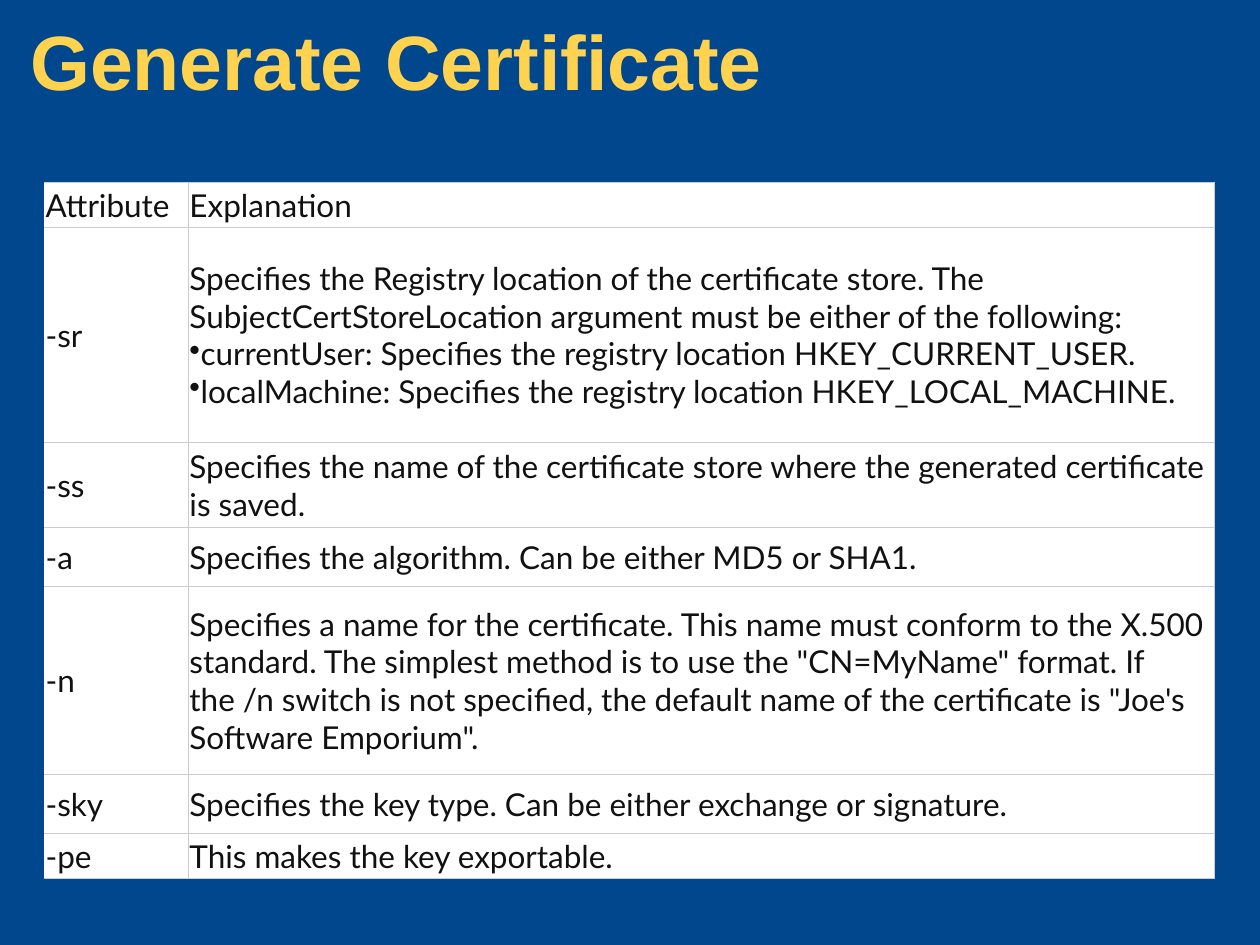
import pptx
import pptx.dml.color
import pptx.enum.text
import pptx.util
from lxml import etree
from pptx.oxml.ns import qn
from pptx.util import Cm

ROWS = [
    (0.91, "Attribute", ["Explanation"]),
    (4.32, "-sr", [
        "Specifies the Registry location of the certificate store. "
        "The SubjectCertStoreLocation argument must be either of the following:",
        "•currentUser: Specifies the registry location HKEY_CURRENT_USER.",
        "•localMachine: Specifies the registry location HKEY_LOCAL_MACHINE.",
    ]),
    (1.73, "-ss", ["Specifies the name of the certificate store where the "
                   "generated certificate is saved."]),
    (1.19, "-a", ["Specifies the algorithm. Can be either MD5 or SHA1."]),
    (3.78, "-n", [
        "Specifies a name for the certificate. This name must conform to the "
        "X.500 standard. The simplest method is to use the \"CN=MyName\" format. "
        "If the /n switch is not specified, the default name of the certificate "
        "is \"Joe's Software Emporium\"."]),
    (1.19, "-sky", ["Specifies the key type. Can be either exchange or signature."]),
    (0.91, "-pe", ["This makes the key exportable."]),
]


def rgb(value):
    return pptx.dml.color.RGBColor.from_string(value)


class Deck:
    background, title_color = "00478E", "FFD34F"
    text_color, cell_color, border_color = "111111", "FFFFFF", "CCCCCC"
    title_font, body_font = "Arial", "Lato"
    border_width = pptx.util.Pt(0.6)

    def __init__(self):
        self.prs = pptx.Presentation()
        self.prs.slide_width, self.prs.slide_height = Cm(25.4), Cm(19.05)

    def slide(self):
        self.s = self.prs.slides.add_slide(self.prs.slide_layouts[6])
        fill = self.s.background.fill
        fill.solid()
        fill.fore_color.rgb = rgb(self.background)

    def run(self, p, text, size, font, color, bold=False):
        r = p.add_run()
        r.text = text
        r.font.size = pptx.util.Pt(size)
        r.font.name = font
        r.font.bold = bold
        r.font.color.rgb = rgb(color)

    def title(self, text, left, top, width, height):
        sp = self.s.shapes.add_textbox(Cm(left), Cm(top), Cm(width), Cm(height))
        tf = sp.text_frame
        tf.word_wrap = True
        tf.vertical_anchor = pptx.enum.text.MSO_ANCHOR.MIDDLE
        p = tf.paragraphs[0]
        p.line_spacing = 0.9
        self.run(p, text, 44, self.title_font, self.title_color, bold=True)

    def borders(self, cell, sides):
        """Draw grey lines on the given sides and none on the others."""
        tc_pr = cell._tc.get_or_add_tcPr()
        for i, side in enumerate("LRTB"):
            ln = etree.Element(qn("a:ln" + side), w=str(self.border_width))
            if side in sides:
                fill = etree.SubElement(ln, qn("a:solidFill"))
                etree.SubElement(fill, qn("a:srgbClr"), val=self.border_color)
            else:
                etree.SubElement(ln, qn("a:noFill"))
            tc_pr.insert(i, ln)

    def cell(self, cell, lines, sides):
        """Fill a cell; lines that begin with • become bullets."""
        cell.fill.solid()
        cell.fill.fore_color.rgb = rgb(self.cell_color)
        cell.margin_left = cell.margin_right = Cm(0.03)
        cell.margin_top = cell.margin_bottom = Cm(0.03)
        cell.vertical_anchor = pptx.enum.text.MSO_ANCHOR.MIDDLE
        self.borders(cell, sides)
        tf = cell.text_frame
        for i, line in enumerate(lines):
            p = tf.add_paragraph() if i else tf.paragraphs[0]
            if line.startswith("•"):
                p_pr = p._p.get_or_add_pPr()
                p_pr.set("marL", "0")
                p_pr.set("indent", "0")
                etree.SubElement(p_pr, qn("a:buChar"), char="•")
            self.run(p, line.lstrip("•"), 18, self.body_font, self.text_color)

    def table(self, rows, left, top, widths):
        heights = [row[0] for row in rows]
        frame = self.s.shapes.add_table(len(rows), len(widths), Cm(left), Cm(top),
                                        Cm(sum(widths)), Cm(sum(heights)))
        table = frame.table
        for column, width in zip(table.columns, widths):
            column.width = Cm(width)
        for i, (height, attribute, explanation) in enumerate(rows):
            table.rows[i].height = Cm(height)
            self.cell(table.cell(i, 0), [attribute], "RTB")
            self.cell(table.cell(i, 1), explanation, "LRTB")


def main():
    deck = Deck()
    deck.slide()
    deck.title("Generate Certificate", 0.36, 0.36, 24.64, 1.93)
    deck.table(ROWS, 0.89, 3.68, [2.9, 20.7])
    deck.prs.save("out.pptx")


if __name__ == "__main__":
    main()
